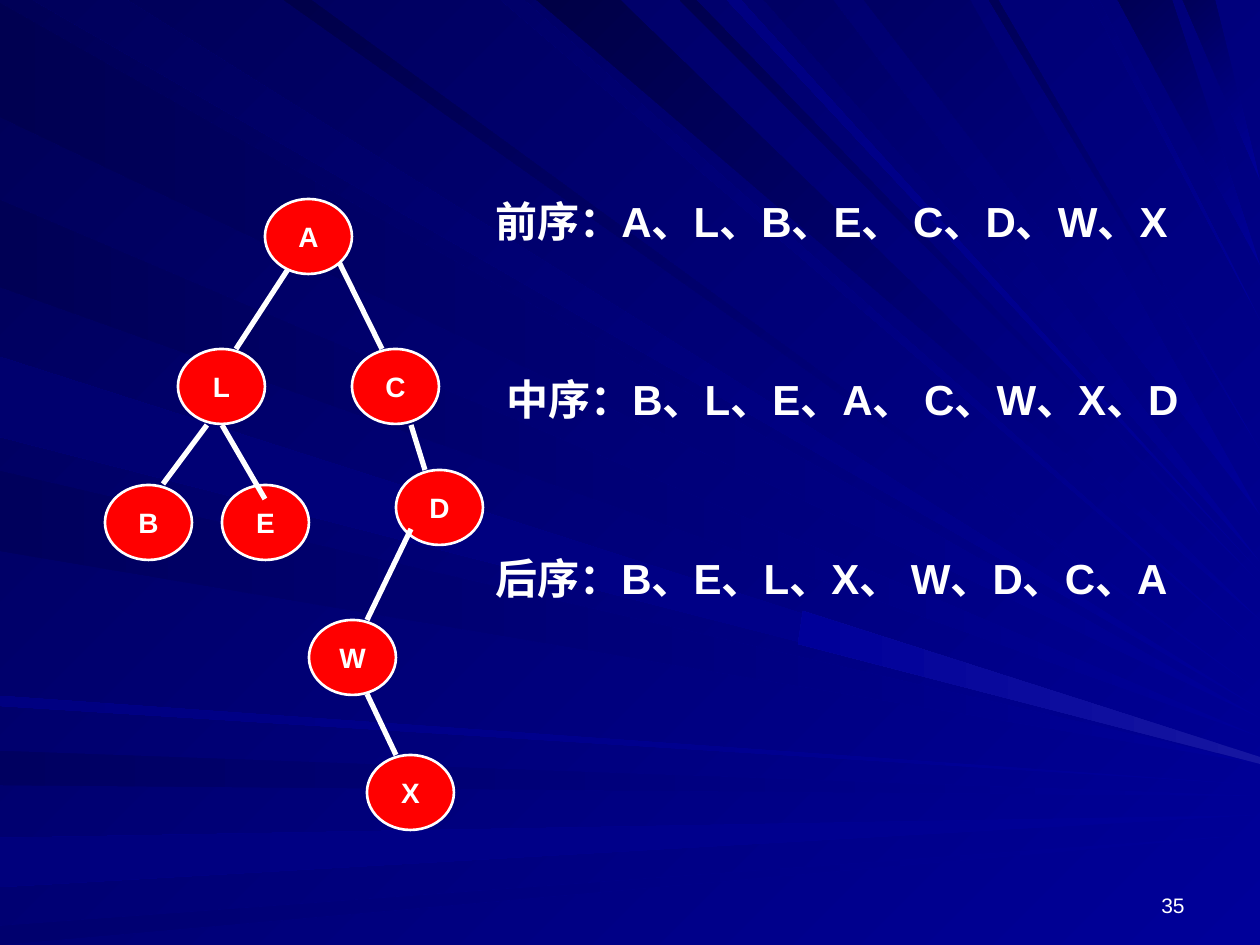
from dataclasses import dataclass

from lxml import etree
from pptx import Presentation
from pptx.dml.color import RGBColor
from pptx.enum.shapes import MSO_CONNECTOR, MSO_SHAPE
from pptx.enum.text import MSO_ANCHOR, PP_ALIGN
from pptx.oxml.ns import qn
from pptx.util import Emu, Pt

SCALE = 914400 // 126
OVAL = MSO_SHAPE.OVAL
STRAIGHT = MSO_CONNECTOR.STRAIGHT
TOP, MIDDLE, BOTTOM = MSO_ANCHOR.TOP, MSO_ANCHOR.MIDDLE, MSO_ANCHOR.BOTTOM
LEFT, CENTER, RIGHT = PP_ALIGN.LEFT, PP_ALIGN.CENTER, PP_ALIGN.RIGHT


@dataclass(frozen=True)
class Theme:
    """Colours and type sizes of the slide."""
    font: str = "Arial"
    text: str = "FFFFFF"
    node: str = "FF0000"
    bright: str = "000099"
    dark: str = "000057"
    glint: str = "1616A1"
    order_size: int = 24
    node_size: int = 16
    number_size: int = 12
    outline: float = 1.5
    edge: int = 3


THEME = Theme()

SLIDE_WIDTH, SLIDE_HEIGHT = 1260, 945
SIDE_RAYS = [(3, 117, 718, "000051"), (751, 785, 796, "000060"), (838, 887, 815, "00007C"),
             (926, 945, 834, "00006E"), (200, 287, 737, "000055"), (471, 551, 764, "00005C"),
             (696, 706, 785, "000081"), (357, 437, 760, "00006E")]
TOP_RAYS = [(33, 127, 709, "00005C"), (501, 524, 652, "00006A"), (537, 620, 620, "000046"),
            (680, 696, 583, "00004E"), (764, 833, 562, "000064"), (1118, 1172, 265, "000055"),
            (1183, 1215, 180, "000059"), (284, 311, 692, "00004A"), (727, 741, 572, "000081"),
            (864, 970, 515, "000064"), (989, 998, 450, "000057"), (1090, 1099, 320, "000078")]
GLINT = [(803, 611), (798, 644), (1260, 764), (1260, 757)]

NODE_WIDTH, NODE_HEIGHT = 87, 75
ROOT = ("A", 160, 0)
DESCENDANTS = [("B", 0, 286), ("C", 247, 150), ("D", 291, 271), ("E", 117, 286),
               ("L", 73, 150), ("X", 262, 556), ("W", 204, 421)]
EDGES = [((189, 61), (131, 150)), ((233, 61), (277, 150)), ((306, 226), (320, 271)),
         ((117, 226), (160, 300)), ((102, 226), (58, 285)), ((262, 495), (291, 556)),
         ((306, 330), (262, 421))]
ORDERS = [("前序：A、L、B、E、 C、D、W、X", 0, 735),
          ("中序：B、L、E、A、 C、W、X、D", 11, 746),
          ("后序：B、E、L、X、 W、D、C、A", 0, 746)]
ORDER_HEIGHT, ORDER_STEP = 113, 178.5


def px(length):
    """Turn a length in px into EMU."""
    return Emu(int(length * SCALE))


def color(value):
    """Turn a hex string into a colour."""
    return RGBColor.from_string(value)


def shade(fill, start, end, angle):
    """Fill with a gradient at a counter-clockwise angle."""
    fill.gradient()
    fill.gradient_angle = angle
    for stop, value in zip(fill.gradient_stops, (start, end)):
        stop.color.rgb = color(value)


def write(shape, text, size, bold, alignment, anchor, wrap=True):
    """Put one formatted paragraph into a shape."""
    text_frame = shape.text_frame
    text_frame.text = text
    text_frame.word_wrap = wrap
    text_frame.vertical_anchor = anchor
    paragraph = text_frame.paragraphs[0]
    paragraph.alignment = alignment
    for run in paragraph.runs:
        run.font.name = THEME.font
        run.font.size = Pt(size)
        run.font.bold = bold
        run.font.color.rgb = color(THEME.text)


def add_ray(slide, left, top, points, start, end, angle):
    """Draw one beam of light."""
    first, *others = [(left + x, top + y) for x, y in points]
    builder = slide.shapes.build_freeform(*first, scale=SCALE)
    builder.add_line_segments(others, close=True)
    shape = builder.convert_to_shape()
    shape.shadow.inherit = False
    shape.line.fill.background()
    shade(shape.fill, start, end, angle)


def add_backdrop(slide, left, top, width):
    """Draw rays from the left and top edges to points on the right edge."""
    shade(slide.background.fill, THEME.bright, THEME.dark, 135)
    for start, end, target, dark in SIDE_RAYS:
        points = [(0, start), (0, end), (width, target)]
        add_ray(slide, left, top, points, THEME.bright, dark, 180)
    for start, end, target, dark in TOP_RAYS:
        points = [(start, 0), (end, 0), (width, target)]
        add_ray(slide, left, top, points, THEME.bright, dark, 135)
    add_ray(slide, left, top, GLINT, THEME.glint, THEME.bright, 180)


def add_node(slide, left, top, label):
    """Draw one tree node."""
    shape = slide.shapes.add_shape(OVAL, px(left), px(top), px(NODE_WIDTH), px(NODE_HEIGHT))
    shape.shadow.inherit = False
    shape.fill.solid()
    shape.fill.fore_color.rgb = color(THEME.node)
    shape.line.color.rgb = color(THEME.text)
    shape.line.width = Pt(THEME.outline)
    write(shape, label, THEME.node_size, True, CENTER, MIDDLE, wrap=False)


def add_edge(slide, left, top, start, end):
    """Draw one branch between two nodes."""
    connector = slide.shapes.add_connector(
        STRAIGHT, px(left + start[0]), px(top + start[1]), px(left + end[0]), px(top + end[1]))
    connector.line.color.rgb = color(THEME.text)
    connector.line.width = Pt(THEME.edge)
    etree.SubElement(connector._element.spPr, qn("a:effectLst"))


def add_tree(slide, left, top):
    """Draw the binary tree with its root in front of the branches."""
    for label, x, y in DESCENDANTS:
        add_node(slide, left + x, top + y, label)
    for start, end in EDGES:
        add_edge(slide, left, top, start, end)
    label, x, y = ROOT
    add_node(slide, left + x, top + y, label)


def add_orders(slide, left, top):
    """List the three traversal orders."""
    for index, (text, indent, width) in enumerate(ORDERS):
        box = slide.shapes.add_textbox(
            px(left + indent), px(top + index * ORDER_STEP), px(width), px(ORDER_HEIGHT))
        write(box, text, THEME.order_size, True, LEFT, TOP)


def add_number(slide, left, top, width, height):
    """Write the page number."""
    box = slide.shapes.add_textbox(px(left), px(top), px(width), px(height))
    write(box, "35", THEME.number_size, False, RIGHT, BOTTOM)


def main():
    """Build and save the slide."""
    presentation = Presentation()
    presentation.slide_width, presentation.slide_height = px(SLIDE_WIDTH), px(SLIDE_HEIGHT)
    slide = presentation.slides.add_slide(presentation.slide_layouts[6])
    add_backdrop(slide, 0, 0, SLIDE_WIDTH)
    add_orders(slide, 483, 189)
    add_tree(slide, 105, 199)
    add_number(slide, 903, 861, 294, 63)
    presentation.save("out.pptx")


if __name__ == "__main__":
    main()
